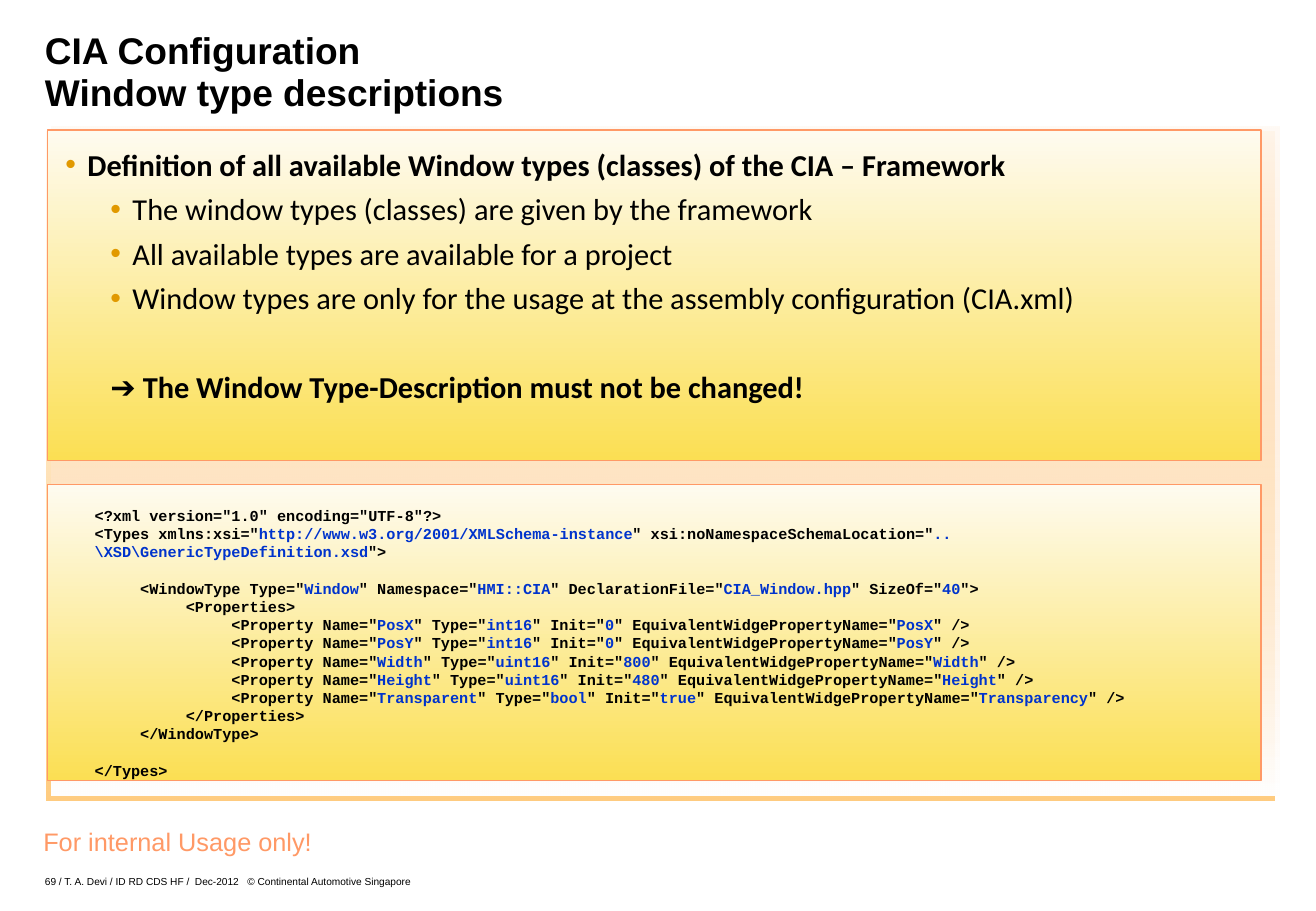
from dataclasses import dataclass
from typing import NamedTuple

from lxml import etree
from pptx import Presentation
from pptx import util as u
from pptx.dml.color import RGBColor
from pptx.enum import shapes, text
from pptx.oxml import ns

COLORS = {
    "text": "000000", "value": "0033CC", "bullet": "E19900", "notice": "FF9966",
    "border": "FF9966", "panel_top": "FEFBF0", "panel_bottom": "FBDF53",
    "back_top": "FFCC99", "back_bottom": "FFFFFF", "shadow": "FF9900",
}


class Box(NamedTuple):
    left: float
    top: float
    width: float
    height: float


@dataclass
class Item:
    text: str
    level: int = 1
    bold: bool = False
    bullet: bool = True
    before: float = 0


class Prop(NamedTuple):
    name: str
    type: str
    init: str
    widget: str


class CodeLine(NamedTuple):
    depth: int
    text: str
    gap: bool = False
    highlight: bool = True


BACKDROP = Box(1.07, 2.64, 25.68, 14)
PANELS = [Box(0.99, 10.13, 25.37, 6.2), Box(0.99, 2.72, 25.37, 6.91)]
NO_INSETS = dict.fromkeys(("margin_left", "margin_top", "margin_right", "margin_bottom"), 0)
CODE_PITCH = 10.8

ITEMS = [
    Item("Definition of all available Window types (classes) of the CIA – Framework", 0, True),
    Item("The window types (classes) are given by the framework"),
    Item("All available types are available for a project"),
    Item("Window types are only for the usage at the assembly configuration (CIA.xml)"),
    Item("➔ The Window Type-Description must not be changed!", 1, True, False, 26.4),
]

PROPS = [
    Prop("PosX", "int16", "0", "PosX"),
    Prop("PosY", "int16", "0", "PosY"),
    Prop("Width", "uint16", "800", "Width"),
    Prop("Height", "uint16", "480", "Height"),
    Prop("Transparent", "bool", "true", "Transparency"),
]

CODE = [
    CodeLine(0, '<?xml version="1.0" encoding="UTF-8"?>', highlight=False),
    CodeLine(0, '<Types xmlns:xsi="http://www.w3.org/2001/XMLSchema-instance" '
                r'xsi:noNamespaceSchemaLocation="..\XSD\GenericTypeDefinition.xsd">'),
    CodeLine(1, '<WindowType Type="Window" Namespace="HMI::CIA" '
                'DeclarationFile="CIA_Window.hpp" SizeOf="40">', gap=True),
    CodeLine(2, "<Properties>"),
    *(CodeLine(3, f'<Property Name="{p.name}" Type="{p.type}" Init="{p.init}" '
                  f'EquivalentWidgePropertyName="{p.widget}" />') for p in PROPS),
    CodeLine(2, "</Properties>"),
    CodeLine(1, "</WindowType>"),
    CodeLine(0, "</Types>", gap=True),
]


def rgb(name: str) -> RGBColor:
    return RGBColor.from_string(COLORS[name])


def apply(target, values: dict) -> None:
    for name, value in values.items():
        setattr(target, name, value)


def add_xml(parent, tag: str, **attrs: str):
    return etree.SubElement(parent, ns.qn(tag), attrs)


def add_run(p, content: str, font: str, size: float, color: str = "text", bold: bool = False) -> None:
    r = p.add_run()
    r.text = content
    apply(r.font, {"name": font, "size": u.Pt(size), "bold": bold})
    r.font.color.rgb = rgb(color)


def add_panel(s, box: Box, top: str, bottom: str, border: str = ""):
    """Rectangle with a vertical two-colour gradient."""
    sp = s.shapes.add_shape(shapes.MSO_SHAPE.RECTANGLE, *map(u.Cm, box))
    sp.shadow.inherit = False
    sp.fill.gradient()
    sp.fill.gradient_angle = 270
    for stop, color in zip(sp.fill.gradient_stops, (top, bottom)):
        stop.color.rgb = rgb(color)
    if border:
        sp.line.color.rgb = rgb(border)
        sp.line.width = u.Pt(0.75)
    else:
        sp.line.fill.background()
    return sp


def add_backdrop(s) -> None:
    """Fading rectangle with a shadow to the lower left."""
    sp = add_panel(s, BACKDROP, "back_top", "back_bottom")
    props = sp._element.spPr
    add_xml(props.find(".//" + ns.qn("a:srgbClr")), "a:alpha", val="10000")
    shadow = add_xml(props.find(ns.qn("a:effectLst")), "a:outerShdw", blurRad="0",
                     dist=str(u.Pt(4.2)), dir="8100000", algn="ctr", rotWithShape="0")
    color = add_xml(shadow, "a:srgbClr", val=COLORS["shadow"])
    add_xml(color, "a:alpha", val="50000")


def add_text_frame(s, box: Box, **frame_format):
    tf = s.shapes.add_textbox(*map(u.Cm, box)).text_frame
    apply(tf, {"word_wrap": True, **frame_format})
    return tf


def add_items(tf, items: list[Item]) -> None:
    for i, item in enumerate(items):
        p = tf.add_paragraph() if i else tf.paragraphs[0]
        p.level = item.level
        pPr = p._p.get_or_add_pPr()
        pPr.set("marL", str(u.Cm(1.4 if item.level else 0.46)))
        pPr.set("indent", str(u.Cm(-0.46)))
        if item.bullet:
            add_xml(add_xml(pPr, "a:buClr"), "a:srgbClr", val=COLORS["bullet"])
            add_xml(pPr, "a:buFont", typeface="Arial")
            add_xml(pPr, "a:buChar", char="•")
        else:
            add_xml(pPr, "a:buNone")
        apply(p, {"line_spacing": u.Pt(16.5), "space_after": u.Pt(9.9)})
        if item.before:
            p.space_before = u.Pt(item.before)
        add_run(p, item.text, "Calibri", 18, bold=item.bold)


def add_code(tf, lines: list[CodeLine]) -> None:
    """Write code lines with their quoted values in blue."""
    for i, line in enumerate(lines):
        p = tf.add_paragraph() if i else tf.paragraphs[0]
        p.line_spacing = u.Pt(CODE_PITCH)
        if line.gap:
            p.space_before = u.Pt(CODE_PITCH)
        content = " " * (5 * line.depth) + line.text
        parts = content.split('"') if line.highlight else [content]
        last = len(parts) - 1
        for j, part in enumerate(parts):
            is_value = j % 2 == 1
            if not is_value:
                part = '"' * (j > 0) + part + '"' * (j < last)
            add_run(p, part, "Courier New", 9, "value" if is_value else "text", True)


def main() -> None:
    prs = Presentation()
    prs.slide_width, prs.slide_height = u.Cm(27.51), u.Cm(19.05)
    s = prs.slides.add_slide(prs.slide_layouts[6])

    add_backdrop(s)
    tf = add_text_frame(s, Box(0.64, 17.15, 6.15, 0.89), word_wrap=False,
                        auto_size=text.MSO_AUTO_SIZE.SHAPE_TO_FIT_TEXT)
    p = tf.paragraphs[0]
    p.alignment = text.PP_ALIGN.CENTER
    add_run(p, "For internal Usage only!", "Arial", 15, "notice")

    for box in PANELS:
        add_panel(s, box, "panel_top", "panel_bottom", "border")

    bottom = {"vertical_anchor": text.MSO_ANCHOR.BOTTOM, **NO_INSETS}
    p = add_text_frame(s, Box(0.94, 0.64, 25.65, 1.75), **bottom).paragraphs[0]
    p.line_spacing = u.Pt(24.8)
    add_run(p, "CIA Configuration", "Arial", 22, bold=True)
    p.add_line_break()
    add_run(p, "Window type descriptions", "Arial", 22, bold=True)

    add_items(add_text_frame(s, Box(1.37, 3.23, 24.69, 4.45), **NO_INSETS), ITEMS)
    add_code(add_text_frame(s, Box(1.73, 10.46, 23.37, 5.66)), CODE)

    p = add_text_frame(s, Box(0.94, 18.14, 8.71, 0.41), **bottom).paragraphs[0]
    p.line_spacing = u.Pt(5.5)
    add_run(p, "69 / T. A. Devi / ID RD CDS HF /  Dec-2012   © Continental Automotive Singapore",
            "Arial", 6)

    prs.save("out.pptx")


if __name__ == "__main__":
    main()
